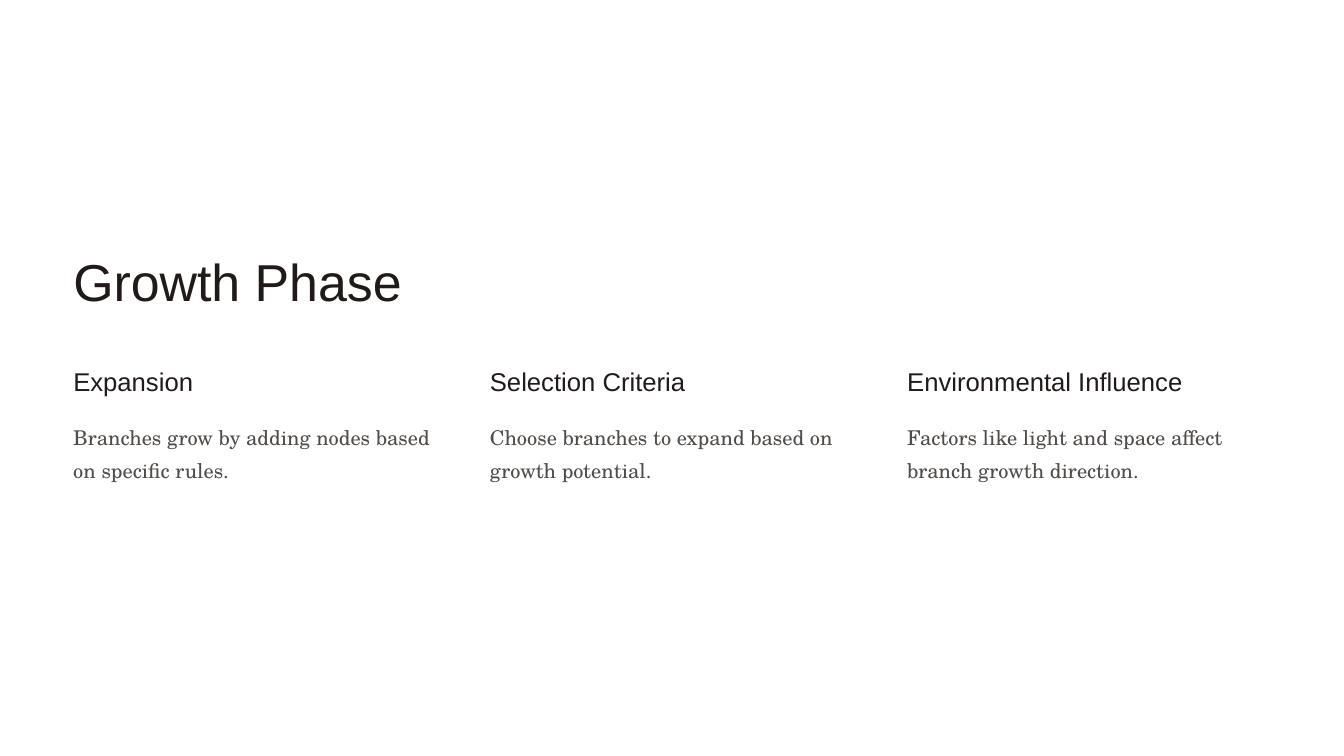
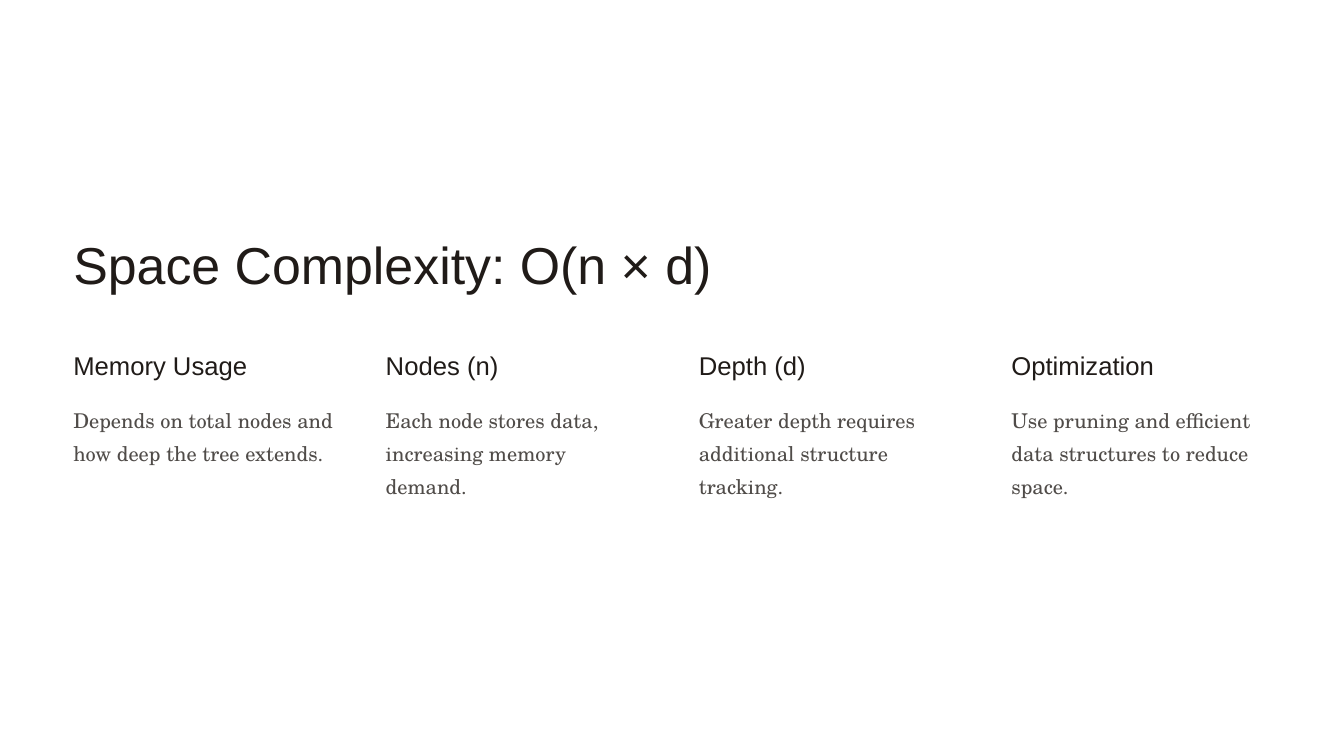
from dataclasses import dataclass

from pptx import Presentation
from pptx.dml.color import RGBColor
from pptx.enum.shapes import MSO_SHAPE as Preset
from pptx.enum.text import MSO_ANCHOR as Anchor, MSO_AUTO_SIZE as AutoSize, PP_ALIGN as Align
from pptx.presentation import Presentation as Deck
from pptx.shapes.base import BaseShape
from pptx.slide import Slide
from pptx.util import Emu, Pt

PX = 9144
SLIDE_W, SLIDE_H = 2000, 1125
MARGIN = 109
GAP = 76
GRID_W = 1862
TITLE_H, HEADING_H = 102, 52
HEADING_W = 388
HEADING_DROP, BODY_DROP = 175, 251
BODY_LINE, BODY_PAD = 50, 6
TITLE_ONLY = 5
BACK = 2

WHITE = RGBColor(0xFF, 0xFF, 0xFF)
INK = RGBColor(0x20, 0x1B, 0x18)
GREY = RGBColor(0x50, 0x4C, 0x49)

FRAME_FORMAT = {
    "margin_left": 0,
    "margin_top": 0,
    "margin_right": 0,
    "margin_bottom": 0,
    "word_wrap": True,
    "auto_size": AutoSize.NONE,
    "vertical_anchor": Anchor.TOP,
}


@dataclass(frozen=True)
class TextStyle:
    font: str
    size: float
    line: float
    color: RGBColor


@dataclass(frozen=True)
class Box:
    left: int
    top: int
    width: int
    height: int

    def emu(self) -> tuple[Emu, ...]:
        return tuple(Emu(v * PX) for v in (self.left, self.top, self.width, self.height))


@dataclass(frozen=True)
class Column:
    heading: str
    body: str
    lines: int
    heading_w: int = HEADING_W


@dataclass(frozen=True)
class Topic:
    title: str
    top: int
    title_w: int
    columns: tuple[Column, ...]


TITLE = TextStyle("Arial", 55.6, 69.4, INK)
HEADING = TextStyle("Arial", 27.5, 34.4, INK)
BODY = TextStyle("TeX Gyre Schola", 21.8, 35.5, GREY)

TOPICS = (
    Topic("Growth Phase", 368, 775, (
        Column("Expansion", "Branches grow by adding nodes based on specific rules.", 2),
        Column("Selection Criteria", "Choose branches to expand based on growth potential.", 2),
        Column("Environmental Influence",
               "Factors like light and space affect branch growth direction.", 2, 470),
    )),
    Topic("Space Complexity: O(n × d)", 343, 1008, (
        Column("Memory Usage", "Depends on total nodes and how deep the tree extends.", 2),
        Column("Nodes (n)", "Each node stores data, increasing memory demand.", 3),
        Column("Depth (d)", "Greater depth requires additional structure tracking.", 3),
        Column("Optimization", "Use pruning and efficient data structures to reduce space.", 3),
    )),
)


def set_all(target: object, values: dict[str, object]) -> None:
    for name, value in values.items():
        setattr(target, name, value)


def write(sp: BaseShape, text: str, style: TextStyle) -> None:
    tf = sp.text_frame
    set_all(tf, FRAME_FORMAT)
    p = tf.paragraphs[0]
    set_all(p, {"alignment": Align.LEFT, "line_spacing": Pt(style.line)})
    r = p.add_run()
    r.text = text
    set_all(r.font, {"name": style.font, "size": Pt(style.size)})
    r.font.color.rgb = style.color


def add_page(s: Slide) -> None:
    sp = s.shapes.add_shape(Preset.RECTANGLE, *Box(0, 0, SLIDE_W, SLIDE_H).emu())
    sp.shadow.inherit = False
    sp.fill.solid()
    sp.fill.fore_color.rgb = WHITE
    sp.line.fill.background()
    s.shapes.element.insert(BACK, sp.element)


def add_title(s: Slide, text: str, box: Box) -> None:
    sp = s.shapes.title
    set_all(sp, dict(zip(("left", "top", "width", "height"), box.emu())))
    write(sp, text, TITLE)


def add_text(s: Slide, text: str, box: Box, style: TextStyle) -> None:
    write(s.shapes.add_textbox(*box.emu()), text, style)


def add_topic(prs: Deck, topic: Topic) -> None:
    s = prs.slides.add_slide(prs.slide_layouts[TITLE_ONLY])
    add_page(s)
    add_title(s, topic.title, Box(MARGIN, topic.top, topic.title_w, TITLE_H))
    pitch = GRID_W / len(topic.columns)
    width = int(pitch - GAP)
    for i, col in enumerate(topic.columns):
        left = MARGIN + int(i * pitch)
        add_text(s, col.heading,
                 Box(left, topic.top + HEADING_DROP, col.heading_w, HEADING_H), HEADING)
        add_text(s, col.body,
                 Box(left, topic.top + BODY_DROP, width, col.lines * BODY_LINE + BODY_PAD), BODY)


def main() -> None:
    prs = Presentation()
    set_all(prs, {"slide_width": Emu(SLIDE_W * PX), "slide_height": Emu(SLIDE_H * PX)})
    for topic in TOPICS:
        add_topic(prs, topic)
    prs.save("out.pptx")


if __name__ == "__main__":
    main()
